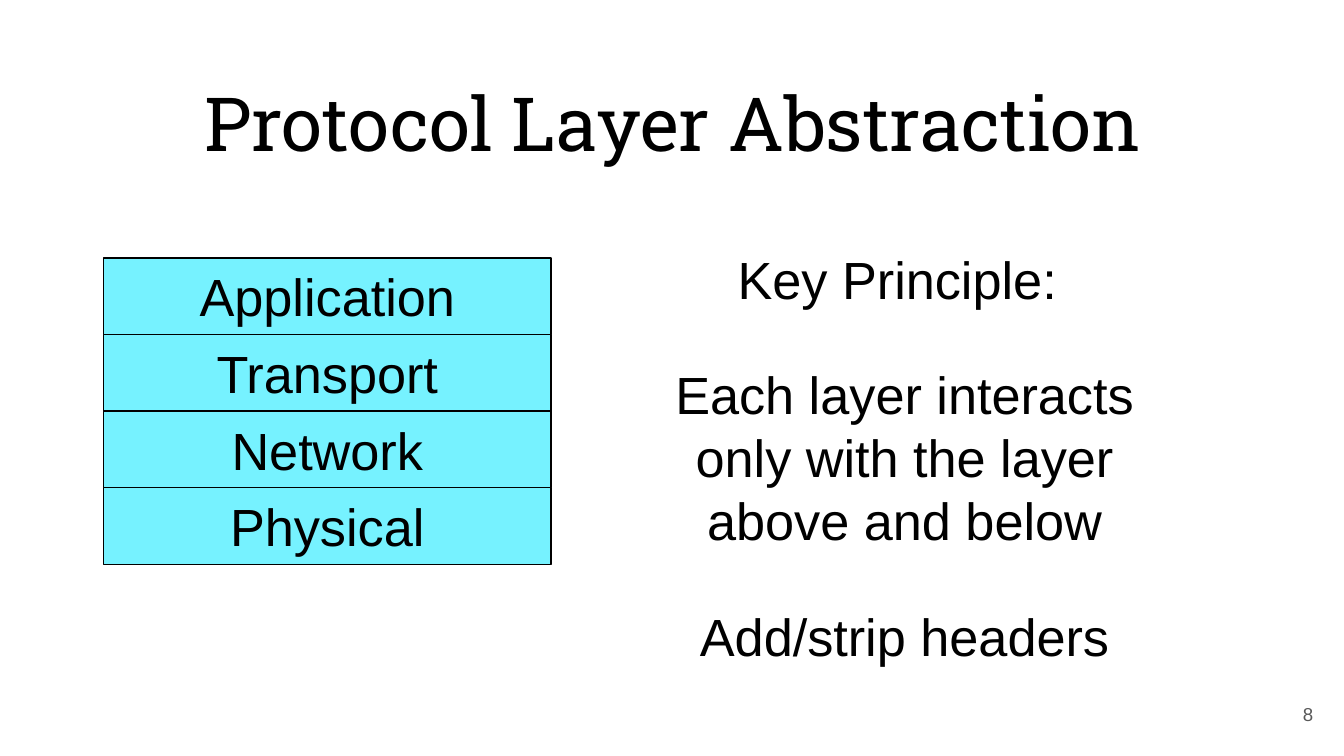
from pptx import Presentation
from pptx.dml.color import RGBColor
from pptx.enum import shapes, text
from pptx.util import Inches, Pt

# Content
TITLE = "Protocol Layer Abstraction"
PAGE_NUMBER = "8"
LAYERS = ["Application", "Transport", "Network", "Physical"]
PRINCIPLES = [  # wording, top, height
    ("Key Principle: ", 1.79, 0.57),  # the trailing space shifts the centred line
    ("Each layer interacts only with the layer above and below", 2.65, 1.5),
    ("Add/strip headers", 4.45, 0.57),
]
COLORS = {"ink": "000000", "layer": "76F2FF", "page": "595959"}

# Layout, in inches
STACK_LEFT, STACK_TOP, LAYER_WIDTH, LAYER_HEIGHT = 0.77, 1.92, 3.33, 0.57
PRINCIPLE_LEFT, PRINCIPLE_WIDTH = 4.75, 3.96


def color(name):
    return RGBColor.from_string(COLORS[name])


def write(shape, wording, size=28, font="Arial", ink="ink", align=text.PP_ALIGN.CENTER,
          anchor=text.MSO_ANCHOR.TOP, pad=0.05, fit=text.MSO_AUTO_SIZE.SHAPE_TO_FIT_TEXT):
    frame = shape.text_frame
    frame.word_wrap = True
    frame.auto_size = fit
    frame.vertical_anchor = anchor
    frame.margin_left = frame.margin_right = Inches(0.1)
    frame.margin_top = frame.margin_bottom = Inches(pad)
    paragraph = frame.paragraphs[0]
    paragraph.alignment = align
    run = paragraph.add_run()
    run.text = wording
    run.font.size = Pt(size)
    run.font.name = font
    run.font.color.rgb = color(ink)


# Widescreen slide, 16:9
deck = Presentation()
deck.slide_width = Inches(10)
deck.slide_height = deck.slide_width * 9 // 16
slide = deck.slides.add_slide(deck.slide_layouts[6])


def add_text(left, top, width, height, wording, **style):
    box = slide.shapes.add_textbox(*map(Inches, (left, top, width, height)))
    write(box, wording, **style)


# Title and page number
add_text(0.36, 0.47, 9.29, 1.08, TITLE, size=40, font="Roboto Slab",
         pad=0.1, fit=text.MSO_AUTO_SIZE.NONE)
add_text(9.27, 5.1, 0.6, 0.43, PAGE_NUMBER, size=10, ink="page", pad=0.1,
         align=text.PP_ALIGN.RIGHT, anchor=text.MSO_ANCHOR.MIDDLE,
         fit=text.MSO_AUTO_SIZE.NONE)

# Key principle
for wording, top, height in PRINCIPLES:
    add_text(PRINCIPLE_LEFT, top, PRINCIPLE_WIDTH, height, wording)

# Protocol stack, built from the bottom layer up
for level, layer_name in reversed(list(enumerate(LAYERS))):
    layer = slide.shapes.add_shape(
        shapes.MSO_SHAPE.RECTANGLE, Inches(STACK_LEFT),
        Inches(STACK_TOP + level * LAYER_HEIGHT),
        Inches(LAYER_WIDTH), Inches(LAYER_HEIGHT))
    layer.shadow.inherit = False
    layer.fill.solid()
    layer.fill.fore_color.rgb = color("layer")
    layer.line.color.rgb = color("ink")
    layer.line.width = Pt(0.75)
    write(layer, layer_name)

deck.save("out.pptx")
